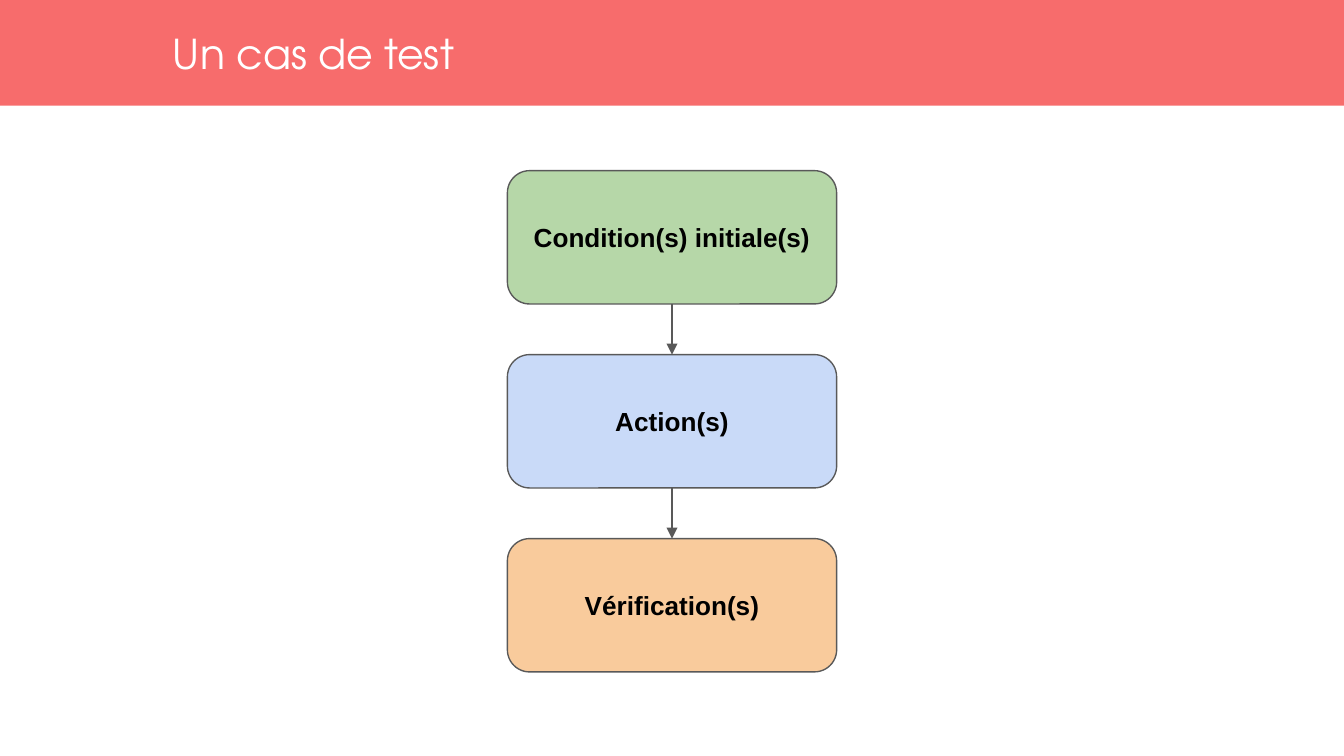
from dataclasses import dataclass
from itertools import pairwise

from lxml.etree import SubElement
from pptx import Presentation
from pptx.dml.color import RGBColor as RGB
from pptx.enum.shapes import MSO_CONNECTOR as Connector, MSO_SHAPE as Shape
from pptx.enum.text import MSO_ANCHOR as Anchor, MSO_AUTO_SIZE as AutoSize, PP_ALIGN as Align
from pptx.oxml.ns import qn
from pptx.util import Inches, Pt


@dataclass(frozen=True)
class Theme:
    banner: RGB = RGB.from_string("F76C6C")
    title: RGB = RGB.from_string("FFFFFF")
    ink: RGB = RGB.from_string("000000")
    outline: RGB = RGB.from_string("595959")
    green: RGB = RGB.from_string("B6D7A8")
    blue: RGB = RGB.from_string("C9DAF8")
    orange: RGB = RGB.from_string("F9CB9C")
    title_font: str = "TeX Gyre Adventor"
    body_font: str = "Arial"
    title_size: Pt = Pt(22)
    body_size: Pt = Pt(14)
    stroke: Pt = Pt(0.75)


THEME = Theme()
WIDTH = Inches(10)
HEIGHT = WIDTH * 9 // 16
BLEED = Inches(0.02)
STEPS = [
    ("Condition(s) initiale(s)", THEME.green),
    ("Action(s)", THEME.blue),
    ("Vérification(s)", THEME.orange),
]


def write(frame, words, font_name, size, color, align, inset, bold=False):
    frame.auto_size = AutoSize.NONE
    frame.word_wrap = True
    frame.vertical_anchor = Anchor.MIDDLE
    frame.margin_left = frame.margin_right = inset
    frame.margin_top = frame.margin_bottom = inset
    paragraph = frame.paragraphs[0]
    paragraph.alignment = align
    run = paragraph.add_run()
    run.text = words
    font = run.font
    font.name, font.size, font.bold = font_name, size, bold
    font.color.rgb = color


def add_panel(slide, preset, box, fill):
    panel = slide.shapes.add_shape(preset, *box)
    panel.shadow.inherit = False
    panel.fill.solid()
    panel.fill.fore_color.rgb = fill
    return panel


def add_header(slide, box, words):
    left, top, width, height = box
    banner = add_panel(slide, Shape.RECTANGLE, box, THEME.banner)
    banner.line.fill.background()
    title = slide.shapes.title
    title.element.addprevious(banner.element)
    title.left, title.top = left + int(width * 0.13), top
    title.width, title.height = int(width * 0.38), height
    write(title.text_frame, words, THEME.title_font, THEME.title_size,
          THEME.title, Align.LEFT, 0)


def add_step(slide, box, words, fill):
    step = add_panel(slide, Shape.ROUNDED_RECTANGLE, box, fill)
    step.line.color.rgb = THEME.outline
    step.line.width = THEME.stroke
    write(step.text_frame, words, THEME.body_font, THEME.body_size,
          THEME.ink, Align.CENTER, Inches(0.1), bold=True)
    return step


def add_arrow(slide, upper, lower):
    arrow = slide.shapes.add_connector(Connector.STRAIGHT, 0, 0, 0, 0)
    arrow.begin_connect(upper, 2)
    arrow.end_connect(lower, 0)
    arrow.line.color.rgb = THEME.outline
    arrow.line.width = THEME.stroke
    properties = arrow.element.spPr
    SubElement(properties.find(qn("a:ln")), qn("a:tailEnd"), type="triangle")
    SubElement(properties, qn("a:effectLst"))


def add_flow(slide, box, steps, gap_share=0.38):
    left, top, width, height = box
    row = height / (len(steps) + gap_share * (len(steps) - 1))
    pitch = row * (1 + gap_share)
    cards = [
        add_step(slide, (left, int(top + i * pitch), width, int(row)), words, fill)
        for i, (words, fill) in enumerate(steps)
    ]
    for upper, lower in pairwise(cards):
        add_arrow(slide, upper, lower)


def main():
    deck = Presentation()
    deck.slide_width, deck.slide_height = WIDTH, HEIGHT
    slide = deck.slides.add_slide(deck.slide_layouts[5])
    header_box = (-BLEED, 0, WIDTH + 2 * BLEED, int(HEIGHT * 0.14))
    add_header(slide, header_box, "Un cas de test")
    flow_width, flow_height = Inches(2.45), Inches(3.73)
    flow_box = ((WIDTH - flow_width) // 2, Inches(1.27), flow_width, flow_height)
    add_flow(slide, flow_box, STEPS)
    deck.save("out.pptx")


if __name__ == "__main__":
    main()
